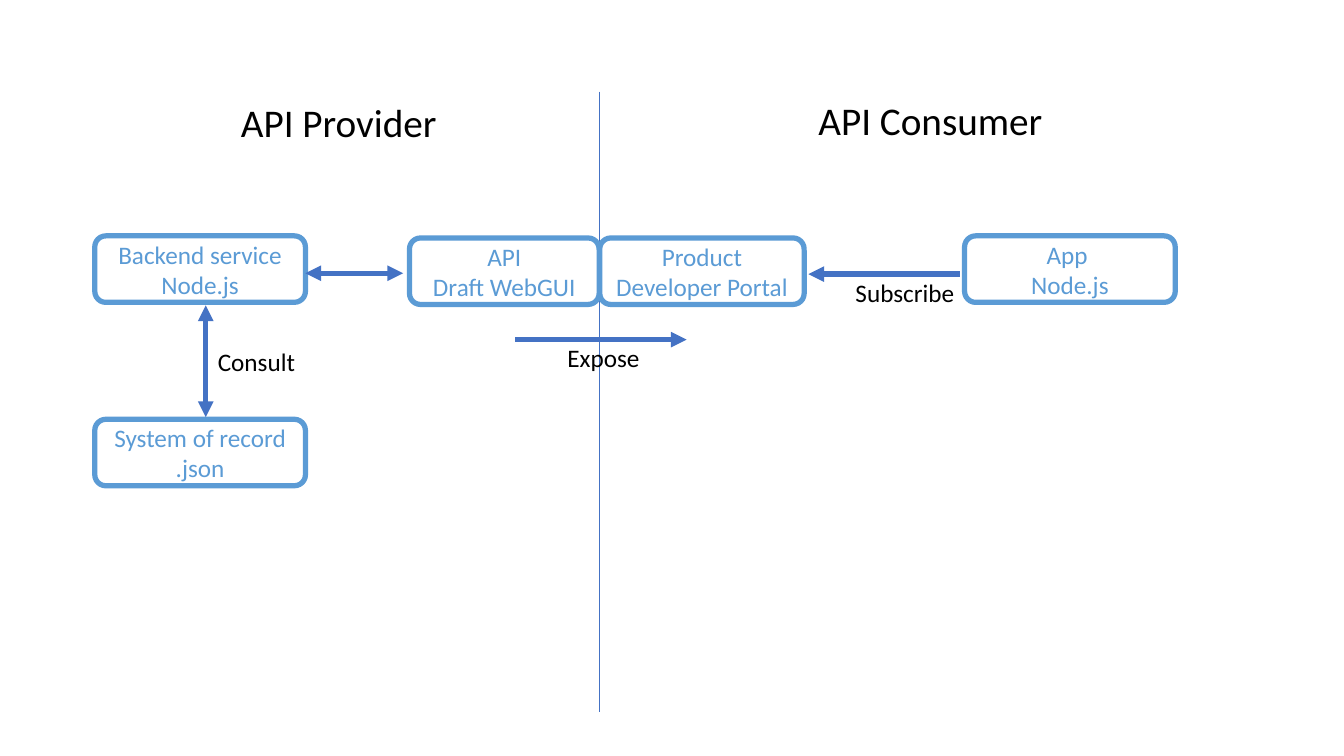
from dataclasses import dataclass

from lxml.etree import SubElement
from pptx import Presentation
from pptx.dml.color import RGBColor
from pptx.enum.shapes import MSO_CONNECTOR, MSO_SHAPE
from pptx.enum.text import MSO_ANCHOR, MSO_AUTO_SIZE, PP_ALIGN
from pptx.oxml.ns import qn
from pptx.util import Pt


@dataclass(frozen=True)
class Theme:
    """Colours, font and sizes shared by the whole slide."""
    font: str = "Calibri"
    box: RGBColor = RGBColor(0x5B, 0x9B, 0xD5)
    line: RGBColor = RGBColor(0x44, 0x72, 0xC4)
    text: RGBColor = RGBColor(0, 0, 0)
    heading_size: float = 28
    body_size: float = 18
    heavy: float = 3.75
    hairline: float = 0.5


class Diagram:
    """Draws boxes, labels and lines on one slide in one theme."""

    def __init__(self, slide, theme):
        self.slide = slide
        self.theme = theme

    def fill_text(self, frame, lines, size, color, alignment=None):
        """Fill a text frame with one paragraph per line."""
        frame.word_wrap = True
        frame.text = "\n".join(lines)
        for paragraph in frame.paragraphs:
            paragraph.alignment = alignment
            paragraph.font.name = self.theme.font
            paragraph.font.size = Pt(size)
            paragraph.font.color.rgb = color

    def box(self, left, top, width, lines, height=47.5):
        """Add an outlined rounded box with centred text."""
        shape = self.slide.shapes.add_shape(
            MSO_SHAPE.ROUNDED_RECTANGLE, Pt(left), Pt(top), Pt(width), Pt(height))
        shape.shadow.inherit = False
        shape.fill.background()
        shape.line.color.rgb = self.theme.box
        shape.line.width = Pt(self.theme.heavy)
        shape.text_frame.vertical_anchor = MSO_ANCHOR.MIDDLE
        self.fill_text(shape.text_frame, lines, self.theme.body_size,
                       self.theme.box, PP_ALIGN.CENTER)

    def label(self, left, top, width, height, text, size):
        """Add a left-aligned text box."""
        shape = self.slide.shapes.add_textbox(Pt(left), Pt(top), Pt(width), Pt(height))
        self.fill_text(shape.text_frame, [text], size, self.theme.text)
        shape.text_frame.auto_size = MSO_AUTO_SIZE.SHAPE_TO_FIT_TEXT

    def heading(self, left, top, text):
        """Add the title of one side."""
        self.label(left, top, 175.5, 41, text, self.theme.heading_size)

    def caption(self, left, top, text):
        """Add the name of an arrow."""
        self.label(left, top, 133, 29, text, self.theme.body_size)

    def connect(self, start, end, width, arrowheads=()):
        """Add a straight line with the given arrowhead elements."""
        connector = self.slide.shapes.add_connector(
            MSO_CONNECTOR.STRAIGHT, *map(Pt, start + end))
        connector.line.color.rgb = self.theme.line
        connector.line.width = Pt(width)
        properties = connector._element.spPr
        outline = properties.find(qn("a:ln"))
        for arrowhead in arrowheads:
            SubElement(outline, qn(arrowhead), type="triangle")
        SubElement(properties, qn("a:effectLst"))

    def arrow(self, start, end, both=False):
        """Add a heavy arrow, pointing both ways if asked."""
        arrowheads = ("a:headEnd", "a:tailEnd") if both else ("a:tailEnd",)
        self.connect(start, end, self.theme.heavy, arrowheads)


def main():
    """Build and save the slide."""
    presentation = Presentation()
    presentation.slide_width, presentation.slide_height = Pt(960), Pt(540)
    slide = presentation.slides.add_slide(presentation.slide_layouts[6])
    theme = Theme()
    diagram = Diagram(slide, theme)

    divider = 428.4
    outer_top, inner_top = 168.5, 170
    outer_width = 150.5
    backend_left = 67.7

    diagram.connect((divider, 65.5), (divider, 508.3), theme.hairline)
    diagram.heading(165, 67, "API Provider")
    diagram.heading(577.5, 65.5, "API Consumer")

    diagram.box(backend_left, outer_top, outer_width, ["Backend service", "Node.js"])
    diagram.box(backend_left, 299.5, outer_width, ["System of record", ".json"])
    diagram.box(292.5, inner_top, 135.5, ["API", "Draft WebGUI"])
    diagram.box(divider, inner_top, 146, ["Product", "Developer Portal"])
    diagram.box(689, outer_top, outer_width, ["App ", "Node.js"])

    diagram.arrow((147, 298), (147, 218.2), both=True)
    diagram.arrow((218.2, 195.2), (288, 195.2), both=True)
    diagram.arrow((368, 242.6), (490.5, 242.6))
    diagram.arrow((685.5, 195.8), (577.5, 195.8))

    diagram.caption(398.2, 241.2, "Expose")
    diagram.caption(148.5, 243.5, "Consult")
    diagram.caption(604, 194.2, "Subscribe")
    presentation.save("out.pptx")


main()
